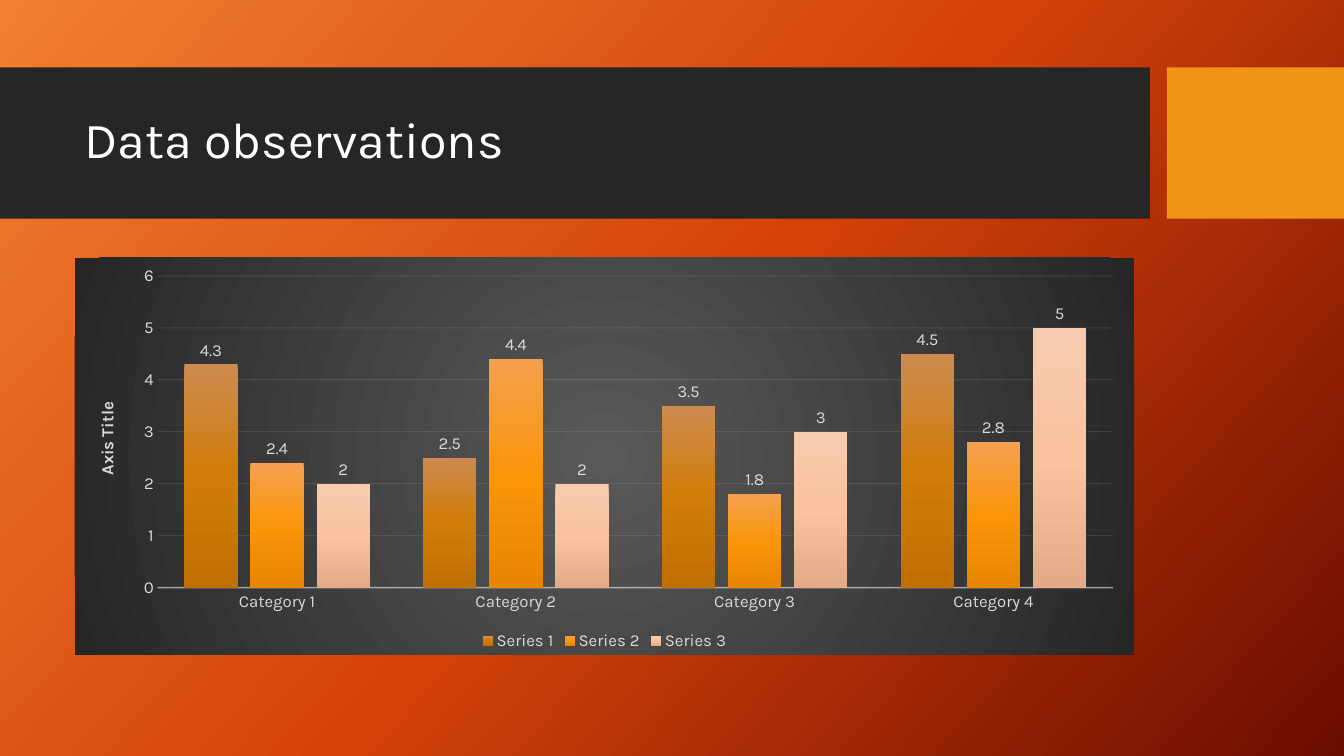
import dataclasses

import lxml.etree
import pptx
import pptx.chart.data
import pptx.dml.color
import pptx.enum.chart
import pptx.enum.shapes
import pptx.enum.text
import pptx.oxml
import pptx.oxml.ns
import pptx.util

Cm, Pt = pptx.util.Cm, pptx.util.Pt
qn = pptx.oxml.ns.qn
FONT = "Karla"
LABEL = dict(name=FONT, size=Pt(12), bold=False)
LABEL_COLOR = "D9D9D9"


@dataclasses.dataclass
class Band:
    left: float
    width: float
    color: str


@dataclasses.dataclass
class Series:
    name: str
    values: tuple[float, ...]
    stops: tuple[str, ...]


BANDS = [Band(0, 28.98, "262626"), Band(29.41, 4.46, "F09415")]
CATEGORIES = [f"Category {i}" for i in range(1, 5)]
SERIES = [
    Series("Series 1", (4.3, 2.5, 3.5, 4.5), ("CE8B4F", "D07C08", "C07000")),
    Series("Series 2", (2.4, 4.4, 1.8, 2.8), ("F4A050", "FB960A", "E88600")),
    Series("Series 3", (2, 2, 3, 5), ("F8CBB0", "FAC29E", "E3AB87")),
]


def rgb(color: str) -> pptx.dml.color.RGBColor:
    return pptx.dml.color.RGBColor.from_string(color)


def set_font(font, formats: dict, color: str) -> None:
    for name, value in formats.items():
        setattr(font, name, value)
    font.color.rgb = rgb(color)


def gradient(colors: tuple[str, ...], angle: float | None = None):
    """Evenly spaced stops; linear with an angle, otherwise from the centre."""
    step = 100000 // (len(colors) - 1)
    stops = "".join(
        f'<a:gs pos="{i * step}"><a:srgbClr val="{c}"/></a:gs>'
        for i, c in enumerate(colors))
    if angle is None:
        shade = ('<a:path path="circle"><a:fillToRect l="50000" t="50000" '
                 'r="50000" b="50000"/></a:path>')
    else:
        shade = f'<a:lin ang="{angle * 60000:.0f}" scaled="0"/>'
    return pptx.oxml.parse_xml(
        f'<a:gradFill {pptx.oxml.ns.nsdecls("a")} rotWithShape="1">'
        f"<a:gsLst>{stops}</a:gsLst>{shade}</a:gradFill>")


def fill_gradient(fill, owner, colors: tuple[str, ...], angle: float) -> None:
    fill.gradient()
    old = next(owner.iter(qn("a:gradFill")))
    old.getparent().replace(old, gradient(colors, angle))


def set_line(fmt, width: float, color: str, opacity: int) -> None:
    fmt.line.width = Pt(width)
    fmt.line.color.rgb = rgb(color)
    clr = next(fmt.line._ln.iter(qn("a:srgbClr")))
    lxml.etree.SubElement(clr, qn("a:alpha"), val=str(opacity * 1000))


def add_band(s, band: Band) -> None:
    sp = s.shapes.add_shape(pptx.enum.shapes.MSO_SHAPE.RECTANGLE,
                            Cm(band.left), Cm(1.7), Cm(band.width), Cm(3.81))
    sp.shadow.inherit = False
    sp.fill.solid()
    sp.fill.fore_color.rgb = rgb(band.color)
    sp.line.fill.background()


def set_title(s, text: str) -> None:
    sp = s.shapes.title
    box = dict(left=Cm(1.88), top=Cm(2.08), width=Cm(26.7), height=Cm(3))
    for name, value in box.items():
        setattr(sp, name, value)
    s.shapes._spTree.append(sp._element)  # in front of the bands
    tf = sp.text_frame
    tf.text = text
    tf.word_wrap = True
    tf.auto_size = pptx.enum.text.MSO_AUTO_SIZE.NONE
    tf.vertical_anchor = pptx.enum.text.MSO_ANCHOR.MIDDLE
    p = tf.paragraphs[0]
    p.alignment = pptx.enum.text.PP_ALIGN.LEFT
    p.line_spacing = 0.9
    set_font(p.runs[0].font, dict(name=FONT, size=Pt(36)), "FFFFFF")


def format_axes(chart) -> None:
    for axis in (chart.category_axis, chart.value_axis):
        axis.major_tick_mark = pptx.enum.chart.XL_TICK_MARK.NONE
        axis.minor_tick_mark = pptx.enum.chart.XL_TICK_MARK.NONE
        set_font(axis.tick_labels.font, LABEL, LABEL_COLOR)
    set_line(chart.category_axis.format, 1, "F2F2F2", 54)

    axis = chart.value_axis
    axis.minimum_scale, axis.maximum_scale, axis.major_unit = 0, 6, 1
    axis.format.line.fill.background()
    set_line(axis.major_gridlines.format, 0.75, "F2F2F2", 10)
    tf = axis.axis_title.text_frame
    tf.text = "Axis Title"
    set_font(tf.paragraphs[0].runs[0].font, LABEL | dict(bold=True), LABEL_COLOR)


def add_chart(s) -> None:
    data = pptx.chart.data.CategoryChartData()
    data.categories = CATEGORIES
    for item in SERIES:
        data.add_series(item.name, item.values)
    chart = s.shapes.add_chart(
        pptx.enum.chart.XL_CHART_TYPE.COLUMN_CLUSTERED,
        Cm(1.88), Cm(6.5), Cm(26.7), Cm(10), data).chart
    set_font(chart.font, dict(name=FONT, size=Pt(10)), "FFFFFF")
    chart.has_title = False
    format_axes(chart)

    # Columns and their values
    plot = chart.plots[0]
    plot.gap_width, plot.overlap, plot.vary_by_categories = 100, -24, False
    for ser, item in zip(plot.series, SERIES):
        fill_gradient(ser.format.fill, ser._element, item.stops, 90)
        labels = ser.data_labels
        labels.show_value = True
        labels.position = pptx.enum.chart.XL_LABEL_POSITION.OUTSIDE_END
        set_font(labels.font, LABEL, LABEL_COLOR)

    # Legend
    chart.has_legend = True
    chart.legend.position = pptx.enum.chart.XL_LEGEND_POSITION.BOTTOM
    chart.legend.include_in_layout = False
    set_font(chart.legend.font, LABEL, LABEL_COLOR)

    # Chart area: radial fill without a border
    area = lxml.etree.Element(qn("c:spPr"))
    area.append(gradient(("595959", "262626")))
    lxml.etree.SubElement(lxml.etree.SubElement(area, qn("a:ln")), qn("a:noFill"))
    chart._chartSpace.find(qn("c:txPr")).addprevious(area)


def main() -> None:
    prs = pptx.Presentation()
    prs.slide_width, prs.slide_height = Cm(33.87), Cm(19.05)
    s = prs.slides.add_slide(prs.slide_layouts[5])
    fill_gradient(s.background.fill, s._element, ("F18031", "D54209", "6A0D00"), 42)
    for band in BANDS:
        add_band(s, band)
    set_title(s, "Data observations")
    add_chart(s)
    prs.save("out.pptx")


if __name__ == "__main__":
    main()
